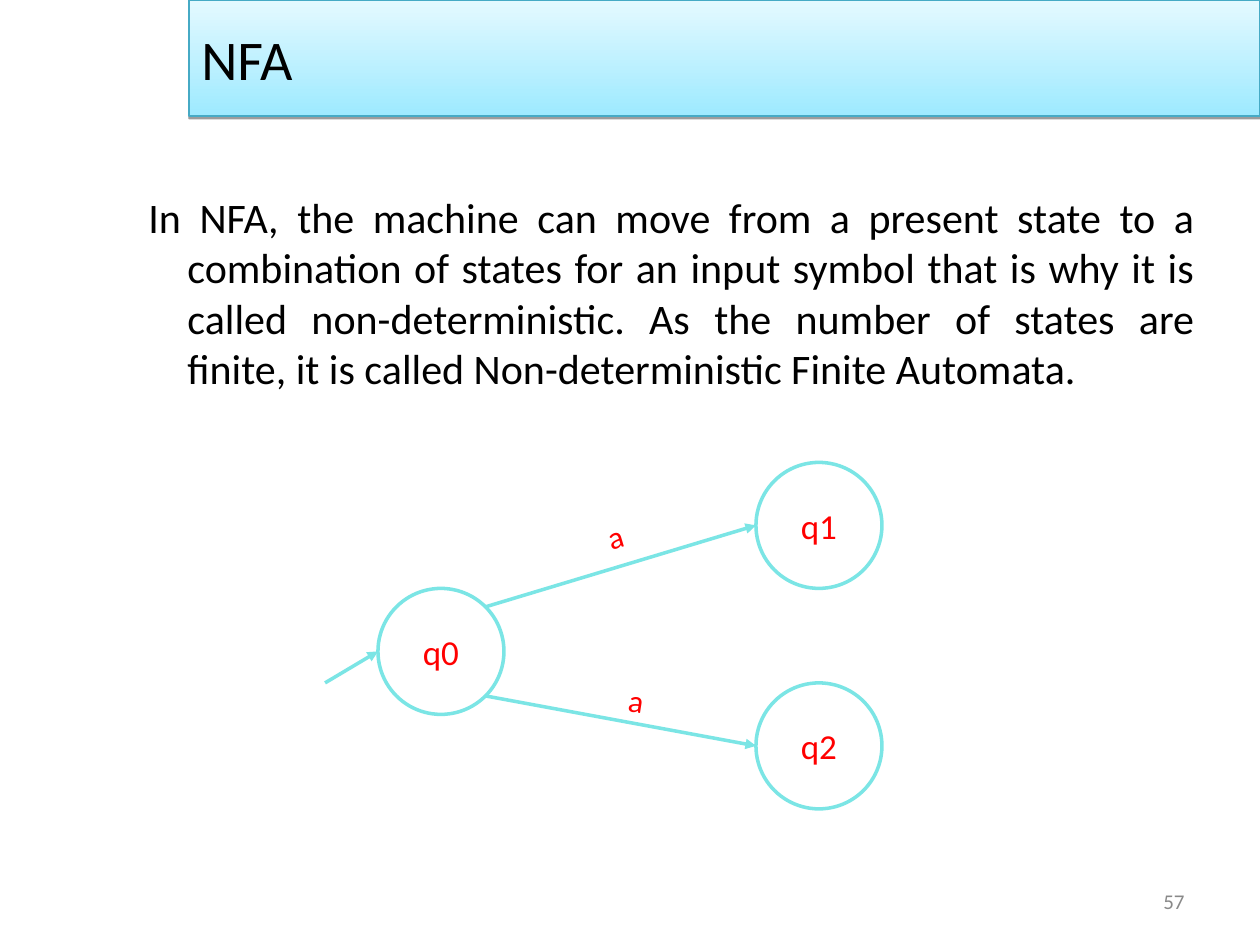
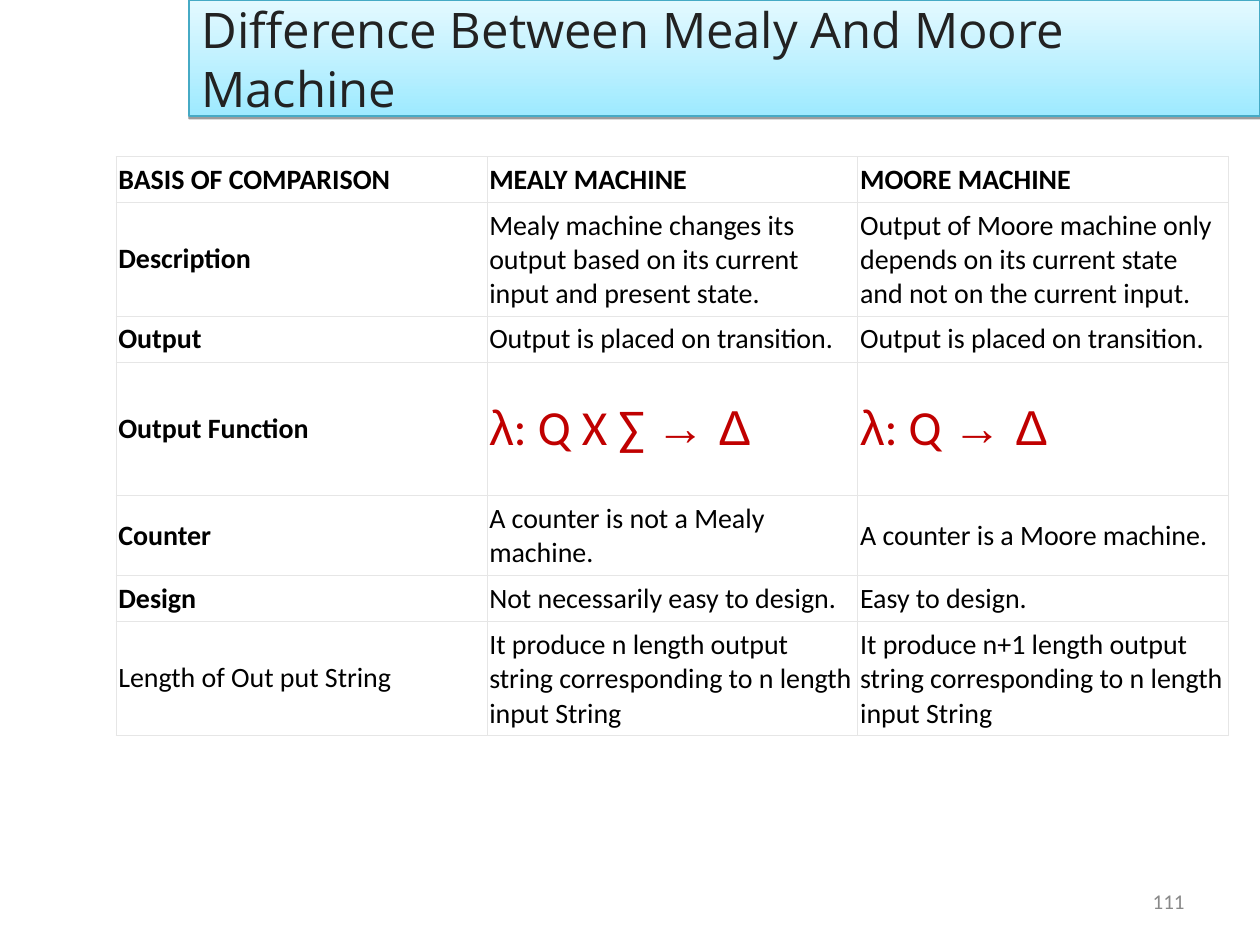
from math import cos, pi

from lxml.etree import SubElement
from pptx import Presentation
from pptx.dml.color import RGBColor
from pptx.enum.shapes import MSO_CONNECTOR, MSO_SHAPE
from pptx.enum.text import MSO_ANCHOR, PP_ALIGN
from pptx.oxml.ns import qn
from pptx.util import Inches, Pt

# Shared style
COLORS = {
    "text": "000000", "heading": "222222", "number": "898989",
    "band_bottom": "9EEAFF", "band_top": "E4F9FF", "band_line": "46AAC5",
    "diagram": "7BE5E5", "label": "FF0000", "formula": "C00000",
    "cell": "FFFFFF", "border": "E6E6E6",
}
BODY_FONT = "Calibri"
SYMBOL_FONT = "Arial"

# Content of the NFA slide
NFA_TEXT = (
    "In NFA, the machine can move from a present state to a combination of "
    "states for an input symbol that is why it is called non-deterministic. "
    "As the number of states are finite, it is called Non-deterministic "
    "Finite Automata."
)
STATE_SIZE = 1
STATES = {"q0": (3, 4.67), "q2": (6, 5.42), "q1": (6, 3.67)}  # left, top
START_POINT = (2.58, 5.42)
# source, target, side the arrow leaves from (-1 up, 1 down)
TRANSITIONS = [("q0", "q1", -1), ("q0", "q2", 1)]
# symbol, left, top, rotation
SYMBOLS = [("a", 4.71, 3.96, 343.4), ("a", 4.89, 5.41, 8.9)]

# Content of the comparison slide; a list in a cell holds (text, font) runs
COMPARISON = [
    ("BASIS OF COMPARISON", "MEALY MACHINE", "MOORE MACHINE"),
    ("Description",
     "Mealy machine changes its output based on its current input and present state.",
     "Output of Moore machine only depends on its current state and not on the current input."),
    ("Output", "Output is placed on transition.", "Output is placed on transition."),
    ("Output Function",
     [("λ", SYMBOL_FONT), (": Q X ∑ ", BODY_FONT), ("→ Δ", SYMBOL_FONT)],
     [("λ", SYMBOL_FONT), (": Q ", BODY_FONT), ("→ Δ", SYMBOL_FONT)]),
    ("Counter", "A counter is not a Mealy machine.", "A counter is a Moore machine."),
    ("Design", "Not necessarily easy to design.", "Easy to design."),
    ("Length of Out put String",
     "It produce n length output string corresponding to n length input String",
     "It produce n+1 length output string corresponding to n length input String"),
]
ROW_HEIGHTS = [0.28, 0.81, 0.3, 1.06, 0.54, 0.3, 0.81]
PLAIN_HEADINGS = {"Length of Out put String"}


def rgb(name):
    return RGBColor.from_string(COLORS[name])


def style(paragraph, size, color, font=BODY_FONT, bold=False, align=PP_ALIGN.LEFT):
    paragraph.alignment = align
    paragraph.font.size = Pt(size)
    paragraph.font.color.rgb = rgb(color)
    paragraph.font.bold = bold
    if font:
        paragraph.font.name = font


def write(frame, text, size, color, anchor=MSO_ANCHOR.MIDDLE, **options):
    frame.word_wrap = True
    frame.vertical_anchor = anchor
    paragraph = frame.paragraphs[0]
    paragraph.text = text
    style(paragraph, size, color, **options)
    return paragraph


def add_text(slide, place, text, size, color, **options):
    box = slide.shapes.add_textbox(*map(Inches, place))
    return box, write(box.text_frame, text, size, color, **options)


def add_frame(slide, title, number, size, color, font=BODY_FONT):
    """Title band and slide number."""
    band = slide.shapes.add_shape(
        MSO_SHAPE.RECTANGLE, *map(Inches, (1.5, 0, 8.5, 0.92)))
    band.fill.gradient()
    band.fill.gradient_angle = 90
    for stop, tone in zip(band.fill.gradient_stops, ("band_bottom", "band_top")):
        stop.color.rgb = rgb(tone)
    band.line.color.rgb = rgb("band_line")
    band.line.width = Pt(0.75)
    band.shadow.inherit = False
    effects = band.fill._xPr.find(qn("a:effectLst"))
    shadow = SubElement(effects, qn("a:outerShdw"), blurRad="0",
                        dist=str(Pt(1.6)), dir="5400000", rotWithShape="0")
    shade = SubElement(shadow, qn("a:srgbClr"), val=COLORS["text"])
    SubElement(shade, qn("a:alpha"), val="38000")
    write(band.text_frame, title, size, color, font=font)
    add_text(slide, (7.17, 6.95, 2.33, 0.4), number, 12, "number",
             align=PP_ALIGN.RIGHT)


def add_arrow(slide, start, end):
    arrow = slide.shapes.add_connector(
        MSO_CONNECTOR.STRAIGHT, *map(Inches, (*start, *end)))
    arrow.line.color.rgb = rgb("diagram")
    arrow.line.width = Pt(2)
    SubElement(arrow.line._get_or_add_ln(), qn("a:tailEnd"), type="triangle")
    SubElement(arrow._element.spPr, qn("a:effectLst"))


def left_edge(state):
    left, top = STATES[state]
    return left, top + STATE_SIZE / 2


def build_nfa(slide):
    add_frame(slide, "NFA", "57", 32, "text")
    _, definition = add_text(slide, (0.58, 1.47, 9, 4.95), NFA_TEXT, 24, "text",
                             anchor=MSO_ANCHOR.TOP, align=PP_ALIGN.JUSTIFY)
    hanging = definition._p.get_or_add_pPr()
    hanging.set("marL", str(Inches(0.81)))
    hanging.set("indent", str(Inches(-0.31)))

    # States
    for state, (left, top) in STATES.items():
        circle = slide.shapes.add_shape(
            MSO_SHAPE.OVAL, *map(Inches, (left, top, STATE_SIZE, STATE_SIZE)))
        circle.fill.background()
        circle.line.color.rgb = rgb("diagram")
        circle.line.width = Pt(2)
        circle.shadow.inherit = False
        write(circle.text_frame, state, 20, "label", align=PP_ALIGN.CENTER)

    # Transitions leave the circle at 45 degrees
    add_arrow(slide, START_POINT, left_edge("q0"))
    radius = STATE_SIZE / 2
    reach = radius * cos(pi / 4)
    for source, target, side in TRANSITIONS:
        left, top = STATES[source]
        exit_point = (left + radius + reach, top + radius + side * reach)
        add_arrow(slide, exit_point, left_edge(target))
    for symbol, left, top, angle in SYMBOLS:
        box, _ = add_text(slide, (left, top, 1, 0.4), symbol, 18, "label",
                          anchor=MSO_ANCHOR.TOP)
        box.rotation = angle


def add_borders(cell):
    properties = cell._tc.get_or_add_tcPr()
    for index, side in enumerate(("a:lnL", "a:lnR", "a:lnT", "a:lnB")):
        border = SubElement(properties, qn(side), w=str(Pt(0.28)))
        fill = SubElement(border, qn("a:solidFill"))
        SubElement(fill, qn("a:srgbClr"), val=COLORS["border"])
        properties.insert(index, border)


def build_comparison(slide):
    add_frame(slide, "Difference Between Mealy And Moore Machine", "111",
              28, "heading", font="Open Sans")
    table = slide.shapes.add_table(
        len(COMPARISON), len(COMPARISON[0]),
        *map(Inches, (0.92, 1.24, 8.83, sum(ROW_HEIGHTS)))).table
    table.first_row = table.horz_banding = False
    for row, height in zip(table.rows, ROW_HEIGHTS):
        row.height = Inches(height)

    for r, entries in enumerate(COMPARISON):
        for c, entry in enumerate(entries):
            cell = table.cell(r, c)
            cell.fill.solid()
            cell.fill.fore_color.rgb = rgb("cell")
            add_borders(cell)
            cell.margin_left = cell.margin_right = Inches(0.02)
            cell.vertical_anchor = MSO_ANCHOR.MIDDLE
            paragraph = cell.text_frame.paragraphs[0]
            if isinstance(entry, list):
                for text, font in entry:
                    run = paragraph.add_run()
                    run.text = text
                    run.font.name = font
                style(paragraph, 28, "formula", font=None)
            else:
                paragraph.text = entry
                heading = (r == 0 or c == 0) and entry not in PLAIN_HEADINGS
                style(paragraph, 16, "text", bold=heading)


def main():
    deck = Presentation()
    deck.slide_width, deck.slide_height = Inches(10), Inches(7.5)
    for build in (build_nfa, build_comparison):
        build(deck.slides.add_slide(deck.slide_layouts[6]))
    deck.save("out.pptx")


if __name__ == "__main__":
    main()
